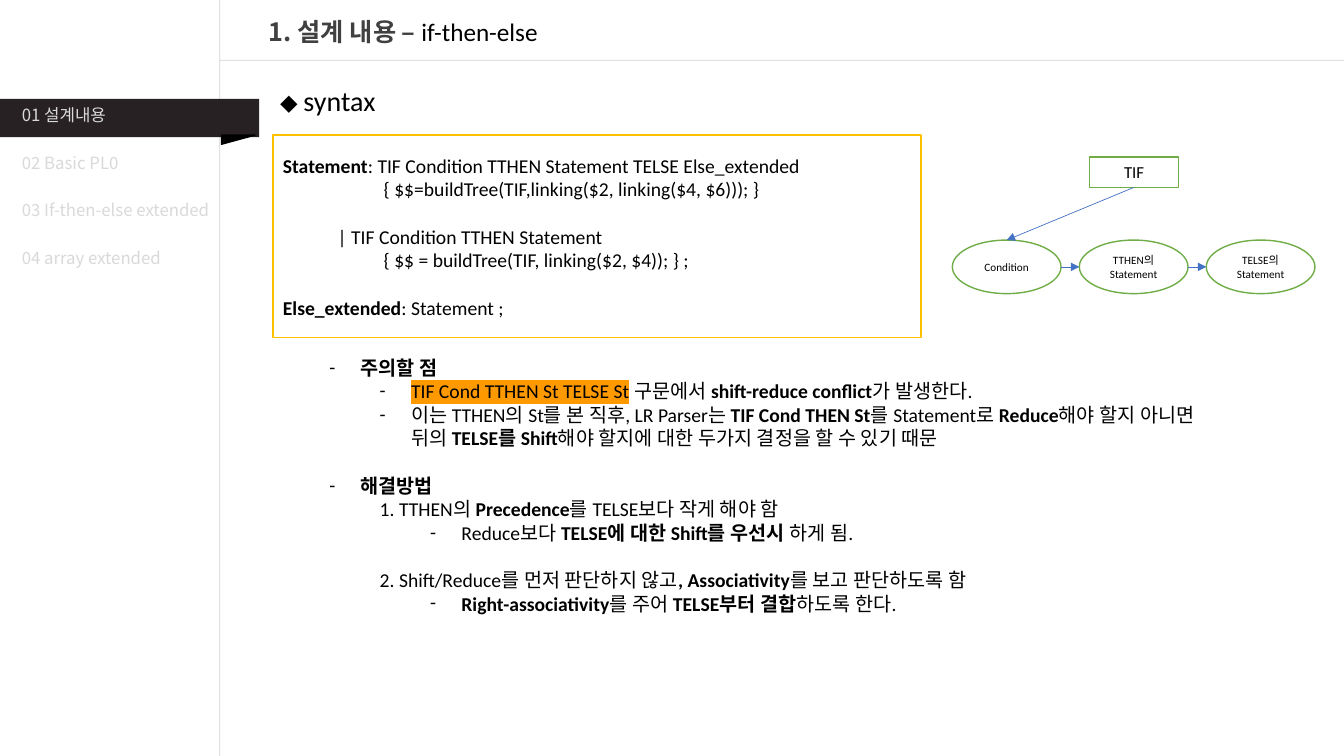
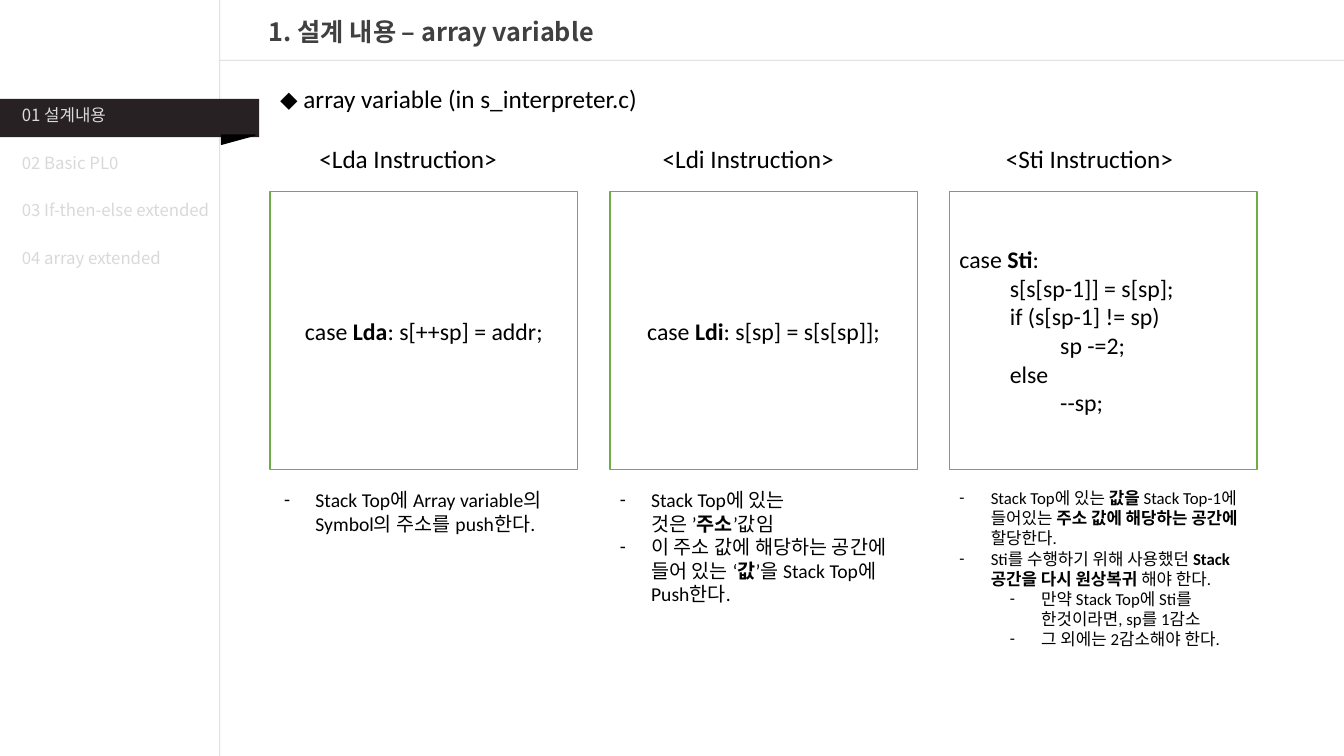
"""Build two slides on the if-then-else syntax and the array variable instructions."""
from lxml import etree
from pptx import Presentation
from pptx.dml.color import RGBColor
from pptx.enum.shapes import MSO_CONNECTOR, MSO_SHAPE
from pptx.enum.text import MSO_ANCHOR, PP_ALIGN
from pptx.oxml.ns import qn
from pptx.util import Cm, Pt

RECTANGLE, OVAL, TRIANGLE = MSO_SHAPE.RECTANGLE, MSO_SHAPE.OVAL, MSO_SHAPE.RIGHT_TRIANGLE
STRAIGHT = MSO_CONNECTOR.STRAIGHT
LEFT, CENTER = PP_ALIGN.LEFT, PP_ALIGN.CENTER
TOP, MIDDLE = MSO_ANCHOR.TOP, MSO_ANCHOR.MIDDLE

BLACK = RGBColor(0x00, 0x00, 0x00)
WHITE = RGBColor(0xFF, 0xFF, 0xFF)
TITLE_GRAY = RGBColor(0x40, 0x40, 0x40)
RULE_GRAY = RGBColor(0xA6, 0xA6, 0xA6)
MENU_GRAY = RGBColor(0xD9, 0xD9, 0xD9)
BAND = RGBColor(0x27, 0x21, 0x23)
GREEN = RGBColor(0x70, 0xAD, 0x47)
GOLD = RGBColor(0xFF, 0xC0, 0x00)
BLUE = RGBColor(0x44, 0x72, 0xC4)
BODY, DISPLAY = "Calibri", "Noto Sans CJK KR"
TITLE_STYLE = {"color": TITLE_GRAY, "bold": True, "face": DISPLAY}
MENU_STYLE = {"color": MENU_GRAY, "face": DISPLAY}
LINE_GAP = 17


def add_span(para, text, size, color=BLACK, bold=False, face=BODY):
    """Add one run; display type carries a thin translucent outline."""
    span = para.add_run()
    span.text = text
    span.font.size = Pt(size)
    span.font.bold = bold
    span.font.color.rgb = color
    span.font.name = face
    props = span._r.get_or_add_rPr()
    props.find(qn("a:latin")).addnext(etree.Element(qn("a:ea"), typeface=face))
    if face == DISPLAY:
        outline = etree.Element(qn("a:ln"), w=str(Pt(0.75)))
        fill = etree.SubElement(outline, qn("a:solidFill"))
        ink = etree.SubElement(fill, qn("a:srgbClr"), val=str(BLACK))
        etree.SubElement(ink, qn("a:alpha"), val="30000")
        props.insert(0, outline)


def add_box(page, kind, frame, size=12, paragraphs=(), fill=WHITE, line=None, align=LEFT, style=None):
    """Add a shape, or a text box if kind is None; a paragraph is (level, bullet, gap, plain, bold, plain...)."""
    place = [Cm(length) for length in frame]
    if kind is None:
        box = page.shapes.add_textbox(*place)
    else:
        box = page.shapes.add_shape(kind, *place)
        box.shadow.inherit = False
        box.fill.solid()
        box.fill.fore_color.rgb = fill
        if line is None:
            box.line.fill.background()
        else:
            box.line.color.rgb = line
            box.line.width = Pt(1)
    text_frame = box.text_frame
    text_frame.word_wrap = True
    text_frame.vertical_anchor = TOP if kind is None else MIDDLE
    for number, (level, bullet, gap, *texts) in enumerate(paragraphs):
        para = text_frame.add_paragraph() if number else text_frame.paragraphs[0]
        para.alignment = align
        para.level = level
        props = para._p.get_or_add_pPr()
        hang = Cm(0.79) if bullet else 0
        props.set("marL", str(Cm(1.27 * level) + hang))
        props.set("indent", str(-hang))
        if bullet:
            etree.SubElement(props, qn("a:buFont"), typeface=BODY)
            etree.SubElement(props, qn("a:buChar"), char="-")
        if "\t" in texts[0]:
            tabs = etree.SubElement(props, qn("a:tabLst"))
            for stop in (2.54, 5.08):
                etree.SubElement(tabs, qn("a:tab"), pos=str(Cm(stop)), algn="l")
        if gap:
            para.space_before = Pt(gap)
        for position, text in enumerate(texts):
            if text:
                add_span(para, text, size, **(style or {"bold": position % 2 == 1}))
    return box


deck = Presentation()
deck.slide_width, deck.slide_height = Cm(33.87), Cm(19.05)
blank = deck.slide_layouts[6]

menu = ["01 설계내용", "02 Basic PL0", "03 If-then-else extended", "04 array extended"]
openings = [
    ("if-then-else", {}, "syntax", 20),
    ("array variable", TITLE_STYLE, "array variable (in s_interpreter.c)", 18),
]
pages = []
for topic, topic_style, heading, heading_size in openings:
    page = deck.slides.add_slide(blank)
    pages.append(page)
    for ends in ((5.54, 0, 5.54, 19.05), (33.87, 1.52, 5.54, 1.52)):
        rule = page.shapes.add_connector(STRAIGHT, *[Cm(length) for length in ends])
        rule.line.color.rgb = RULE_GRAY
        rule.line.width = Pt(0.5)
        ink = rule._element.spPr.find(".//" + qn("a:srgbClr"))
        etree.SubElement(ink, qn("a:alpha"), val="50000")
        etree.SubElement(rule._element.spPr, qn("a:effectLst"))

    title = add_box(page, None, (6.53, 0.28, 14.4, 1.02), 18,
                    [(0, False, 0, "1. 설계 내용 – ")], style=TITLE_STYLE)
    add_span(title.text_frame.paragraphs[0], topic, 18, **topic_style)
    headline = add_box(page, None, (6.81, 1.98, 10.44, 1.12), 18, [(0, False, 0, "⬥ ")])
    add_span(headline.text_frame.paragraphs[0], heading, heading_size)

    add_box(page, RECTANGLE, (0, 2.49, 6.53, 0.97), fill=BAND)
    fold = add_box(page, TRIANGLE, (5.89, 3.1, 0.23, 0.84), fill=BLACK, line=BLACK)
    fold.rotation = 90
    for row, label in enumerate(menu):
        add_box(page, None, (0.3, 2.52 + 1.2 * row, 5.4, 0.76), 12,
                [(0, False, 0, label)], style=MENU_STYLE)

syntax_page, array_page = pages

add_box(syntax_page, RECTANGLE, (6.88, 3.4, 16.33, 5.11), 14, [
    (0, False, 0, "", "Statement", ": TIF Condition TTHEN Statement TELSE Else_extended"),
    (0, False, 0, "        \t\t{ $$=buildTree(TIF,linking($2, linking($4, $6))); }"),
    (0, False, LINE_GAP, "\t | TIF Condition TTHEN Statement"),
    (0, False, 0, "\t\t{ $$ = buildTree(TIF, linking($2, $4)); } ;"),
    (0, False, LINE_GAP, "", "Else_extended", ": Statement ;"),
], line=GOLD)

notes = add_box(syntax_page, None, (8.05, 8.84, 22.89, 7.44), 14, [
    (0, True, 0, "", "주의할 점"),
    (1, True, 0, "TIF Cond TTHEN St TELSE St", "", " 구문에서 ", "shift-reduce conflict", "가 발생한다."),
    (1, True, 0, "이는 TTHEN의 St를 본 직후, LR Parser는 ", "TIF Cond THEN St", "를 Statement로 ", "Reduce",
     "해야 할지 아니면 뒤의 ", "TELSE를 Shift", "해야 할지에 대한 두가지 결정을 할 수 있기 때문"),
    (0, True, LINE_GAP, "", "해결방법"),
    (1, False, 0, "1. TTHEN의 ", "Precedence", "를 TELSE보다 작게 해야 함"),
    (2, True, 0, "Reduce보다 ", "TELSE에 대한 Shift를 우선시 ", "하게 됨."),
    (1, False, LINE_GAP, "2. Shift/Reduce를 먼저 판단하지 않고", ", Associativity", "를 보고 판단하도록 함"),
    (2, True, 0, "", "Right-associativity", "를 주어 ", "TELSE부터 결합", "하도록 한다."),
])
conflict = notes.text_frame.paragraphs[1].runs[0]
highlight = etree.Element(qn("a:highlight"))
etree.SubElement(highlight, qn("a:srgbClr"), val="FF9900")
conflict._r.rPr.find(qn("a:latin")).addprevious(highlight)

root = add_box(syntax_page, RECTANGLE, (27.46, 3.96, 2.24, 0.76), 12,
               [(0, False, 0, "TIF")], line=GREEN, align=CENTER)
leaves = []
for column, lines in enumerate((["Condition"], ["TTHEN의", "Statement"], ["TELSE의", "Statement"])):
    leaves.append(add_box(syntax_page, OVAL, (24 + 3.2 * column, 6.05, 2.74, 1.35), 8,
                          [(0, False, 0, text) for text in lines], line=GREEN, align=CENTER))
arrows = [syntax_page.shapes.add_connector(STRAIGHT, 0, 0, 0, 0)]
arrows[0].begin_connect(root, 2)
arrows[0].end_connect(leaves[0], 0)
for near, far in zip(leaves, leaves[1:]):
    level_line = near.top + near.height // 2
    arrows.append(syntax_page.shapes.add_connector(
        STRAIGHT, near.left + near.width, level_line, far.left, level_line))
for arrow in arrows:
    arrow.line.color.rgb = BLUE
    arrow.line.width = Pt(0.5)
    etree.SubElement(arrow.line._get_or_add_ln(), qn("a:tailEnd"), type="triangle")
    etree.SubElement(arrow._element.spPr, qn("a:effectLst"))

instructions = [
    ("Lda", CENTER, [(0, False, 0, "case ", "Lda", ": s[++sp] = addr;")], 6.91, 14, [
        (0, True, 0, "Stack Top에 Array variable의 Symbol의 주소를 push한다."),
    ]),
    ("Ldi", CENTER, [(0, False, 0, "case ", "Ldi", ": s[sp] = s[s[sp]];")], 15.37, 14, [
        (0, True, 0, "Stack Top에 있는 것은 ’", "주소", "’값임"),
        (0, True, 0, "이 주소 값에 해당하는 공간에 들어 있는 ‘", "값", "’을 Stack Top에 Push한다."),
    ]),
    ("Sti", LEFT, [
        (0, False, 0, "case ", "Sti", ":"),
        (0, False, 0, "\ts[s[sp-1]] = s[sp];"),
        (0, False, 0, "\tif (s[sp-1] != sp)"),
        (0, False, 0, "\t\tsp -=2;"),
        (0, False, 0, "\telse"),
        (0, False, 0, "\t\t--sp;"),
    ], 23.93, 12, [
        (0, True, 0, "Stack Top에 있는 ", "값을 ", "Stack Top-1에 들어있는 ", "주소 값에 해당하는 공간에", " 할당한다."),
        (0, True, 0, "Sti를 수행하기 위해 사용했던 ", "Stack 공간을 다시 원상복귀", " 해야 한다."),
        (1, True, 0, "만약 Stack Top에 Sti를 한것이라면, sp를 1감소"),
        (1, True, 0, "그 외에는 2감소해야 한다."),
    ]),
]
for column, (name, align, code, note_left, note_size, remarks) in enumerate(instructions):
    add_box(array_page, None, (7.8 + 8.65 * column, 3.48, 5.74, 1.02), 18,
            [(0, False, 0, f"<{name} Instruction>")])
    add_box(array_page, RECTANGLE, (6.81 + 8.56 * column, 4.83, 7.75, 7.01), 17,
            code, line=GREEN, align=align)
    note_width = 7.98 if name == "Sti" else 7.62
    add_box(array_page, None, (note_left, 12.17, note_width, 4.37), note_size, remarks)

deck.save("out.pptx")
